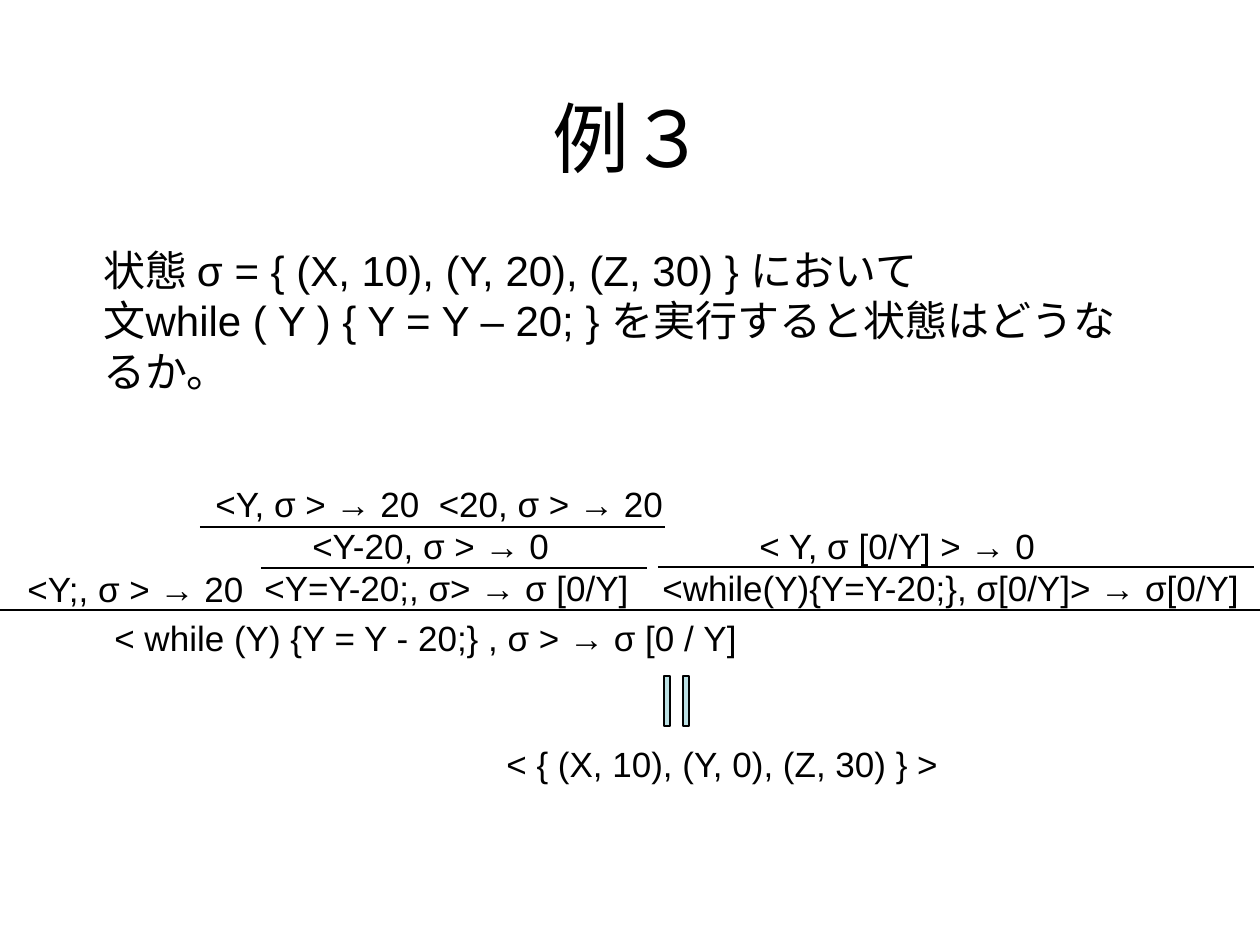
from pptx import Presentation
from pptx.dml.color import RGBColor
from pptx.enum.shapes import MSO_CONNECTOR
from pptx.enum.text import MSO_ANCHOR, MSO_AUTO_SIZE, PP_ALIGN
from pptx.oxml.ns import qn
from pptx.util import Emu, Pt
from lxml import etree

PX = 914400 // 126
BLACK = RGBColor(0x00, 0x00, 0x00)
WHITE = RGBColor(0xFF, 0xFF, 0xFF)
AQUA = RGBColor(0xBB, 0xE0, 0xE3)
FONT = "Arial"
STRAIGHT = MSO_CONNECTOR.STRAIGHT
LEFT, CENTER = PP_ALIGN.LEFT, PP_ALIGN.CENTER
TOP, MIDDLE = MSO_ANCHOR.TOP, MSO_ANCHOR.MIDDLE
FIT, FIXED = MSO_AUTO_SIZE.SHAPE_TO_FIT_TEXT, MSO_AUTO_SIZE.NONE

# Content: boxes are left, top, width, height in px
TITLE = "例３"
TITLE_BOX = (94, 58, 1071, 158)
QUESTION = [
    "状態 σ = { (X, 10), (Y, 20), (Z, 30) } において",
    "文while ( Y ) { Y = Y – 20; } を実行すると状態はどうなるか。",
]
QUESTION_BOX = (91, 238, 1055, 164)

# Proof tree: box, then lines of (indent, text)
STEPS = [
    ((203, 476, 493, 139), [(0, "<Y, σ > → 20  <20, σ > → 20"),
                            (97, "<Y-20, σ > → 0"),
                            (49, "<Y=Y-20;, σ> → σ [0/Y]")]),
    ((15, 561, 247, 55), [(0, "<Y;, σ > → 20")]),
    ((650, 518, 610, 97), [(97, "< Y, σ [0/Y] > → 0"),
                           (0, "<while(Y){Y=Y-20;}, σ[0/Y]> → σ[0/Y]")]),
    ((102, 610, 682, 55), [(0, "< while (Y) {Y = Y - 20;} , σ > → σ [0 / Y]")]),
    ((494, 736, 473, 55), [(0, "< { (X, 10), (Y, 0), (Z, 30) } >")]),
]
# Inference bars: left, right, y
BARS = [(200, 665, 527), (261, 647, 568), (658, 1254, 567), (0, 1260, 610)]
# Upright equals sign: left edges, then top, width, height
EQUAL_LEFTS = (664, 683)
EQUAL_TOP, EQUAL_W, EQUAL_H = 676, 6, 50


def place(shape, box):
    shape.left, shape.top, shape.width, shape.height = (Emu(n * PX) for n in box)


def write(shape, lines, size, align=LEFT, anchor=TOP, fit=FIT):
    frame = shape.text_frame
    frame.text = "\n".join(text for _, text in lines)
    frame.word_wrap = True
    frame.auto_size = fit
    frame.vertical_anchor = anchor
    for para, (indent, _) in zip(frame.paragraphs, lines):
        props = para._p.get_or_add_pPr()
        props.set("marL", str(indent * PX))
        props.set("indent", "0")
        etree.SubElement(props, qn("a:buNone"))
        para.alignment = align
        para.space_before = Pt(0)
        for run in para.runs:
            run.font.name = FONT
            run.font.size = Pt(size)
            run.font.color.rgb = BLACK


def outline(line):
    line.color.rgb = BLACK
    line.width = Pt(0.75)


deck = Presentation()
deck.slide_width, deck.slide_height = Emu(1260 * PX), Emu(945 * PX)
slide = deck.slides.add_slide(deck.slide_layouts[1])
slide.background.fill.solid()
slide.background.fill.fore_color.rgb = WHITE
shapes = slide.shapes

# Title and question
title, body = slide.placeholders
place(title, TITLE_BOX)
write(title, [(0, TITLE)], 44, CENTER, MIDDLE, FIXED)
place(body, QUESTION_BOX)
write(body, [(0, text) for text in QUESTION], 24, fit=FIXED)

# Proof steps
for box, lines in STEPS:
    step = shapes.add_textbox(*(Emu(n * PX) for n in box))
    write(step, lines, 20)

# Inference bars
for left, right, y in BARS:
    bar = shapes.add_connector(STRAIGHT, left * PX, y * PX, right * PX, y * PX)
    outline(bar.line)
    etree.SubElement(bar._element.spPr, qn("a:effectLst"))

# Upright equals sign
low = EQUAL_TOP + EQUAL_H
pen = shapes.build_freeform(EQUAL_LEFTS[0], low, scale=PX)
for left in EQUAL_LEFTS:
    right = left + EQUAL_W
    pen.move_to(left, low)
    pen.add_line_segments([(left, EQUAL_TOP), (right, EQUAL_TOP), (right, low)])
equal = pen.convert_to_shape()
equal.shadow.inherit = False
equal.fill.solid()
equal.fill.fore_color.rgb = AQUA
outline(equal.line)

deck.save("out.pptx")
